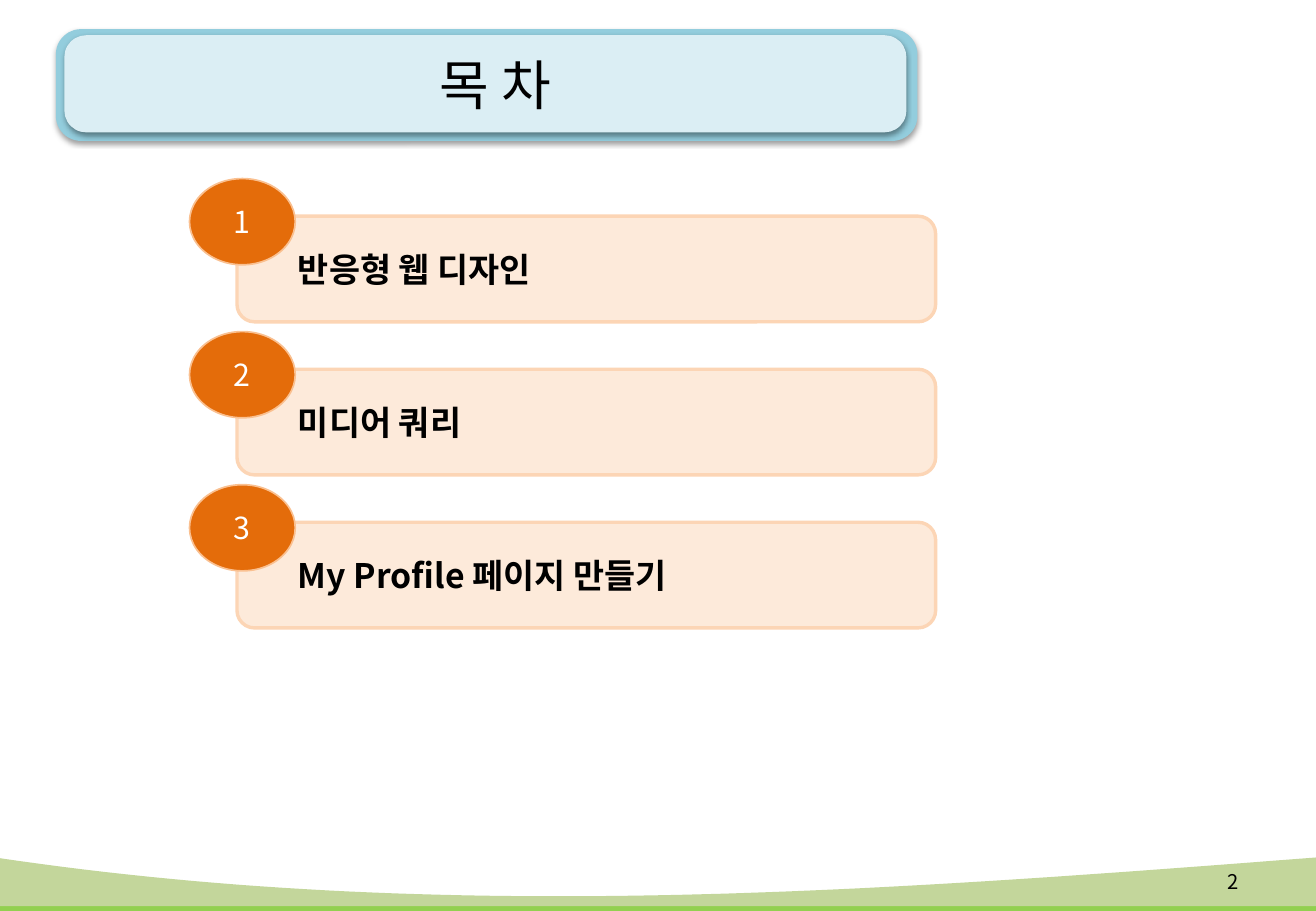
from lxml import etree
from pptx import Presentation
from pptx import util as u
from pptx.dml.color import RGBColor
from pptx.enum import shapes, text
from pptx.oxml import ns

TITLE = "목 차"
TOPICS = ["반응형 웹 디자인", "미디어 쿼리", "My Profile 페이지 만들기"]
PAGE_NUMBER = "2"
FONT = "Noto Sans CJK KR"
WIDTH, HEIGHT = 10.83, 7.5

# Cubic curve along the top of each wave, its bottom edge and its fill
WAVES = [
    ([(-0.04, 7.24), (3.64, 7.6), (7.19, 7.43), (WIDTH, 7.24)], HEIGHT, "92D050"),
    ([(-0.04, 7.06), (3.64, 7.61), (7.19, 7.34), (WIDTH, 7.06)], 7.46, "C3D69B"),
]
WAVE_STEPS = 60
TITLE_PLATES = [((0.46, 0.24, 7.09, 0.92), "93CDDD"),
                ((0.53, 0.29, 6.93, 0.8), "DBEEF4")]
TITLE_AREA = (0.69, 0.22, 6.78, 0.94)
NUMBER_AREA = (9.68, 7.06, 0.61, 0.4)
BAR_LEFT, BAR_TOP, BAR_WIDTH, BAR_HEIGHT = 1.95, 1.78, 5.75, 0.87
BADGE_WIDTH, BADGE_HEIGHT = 0.87, 0.71
BADGE_SHIFT_X, BADGE_SHIFT_Y = 0.39, 0.31
ROW_PITCH = 1.26
BAR_INDENT = 0.46


def color(value):
    return RGBColor.from_string(value)


def paint(shape, fill, line=None, line_width=1):
    shape.shadow.inherit = False
    shape.fill.solid()
    shape.fill.fore_color.rgb = color(fill)
    if line:
        shape.line.color.rgb = color(line)
        shape.line.width = u.Pt(line_width)
    else:
        shape.line.fill.background()


def add_preset(page, kind, area, fill, line=None, line_width=1):
    shape = page.shapes.add_shape(kind, *map(u.Inches, area))
    paint(shape, fill, line, line_width)
    return shape


def add_shadow(shape):
    """Put a soft dark shadow straight below the shape."""
    effects = shape.element.spPr.find(ns.qn("a:effectLst"))
    shadow = etree.SubElement(effects, ns.qn("a:outerShdw"), blurRad=str(u.Pt(3.1)),
                              dist=str(u.Pt(1.6)), dir="5400000", rotWithShape="0")
    tint = etree.SubElement(shadow, ns.qn("a:srgbClr"), val="000000")
    etree.SubElement(tint, ns.qn("a:alpha"), val="38000")


def write(shape, words, size, align, ink="000000", bold=False):
    frame = shape.text_frame
    settings = {"word_wrap": True, "auto_size": text.MSO_AUTO_SIZE.NONE,
                "vertical_anchor": text.MSO_ANCHOR.MIDDLE}
    for name, value in settings.items():
        setattr(frame, name, value)
    para = frame.paragraphs[0]
    para.alignment = align
    span = para.add_run()
    span.text = words
    for name, value in {"name": FONT, "size": u.Pt(size), "bold": bold}.items():
        setattr(span.font, name, value)
    span.font.color.rgb = color(ink)
    etree.SubElement(span._r.get_or_add_rPr(), ns.qn("a:ea"), typeface=FONT)


def curve_point(controls, t):
    weights = ((1 - t) ** 3, 3 * t * (1 - t) ** 2, 3 * t ** 2 * (1 - t), t ** 3)
    return tuple(u.Inches(sum(weight * point[axis] for weight, point in zip(weights, controls)))
                 for axis in (0, 1))


def add_wave(page, controls, bottom, fill):
    points = [curve_point(controls, step / WAVE_STEPS) for step in range(WAVE_STEPS + 1)]
    points += [(u.Inches(x), u.Inches(bottom)) for x in (controls[-1][0], controls[0][0])]
    outline = page.shapes.build_freeform(*points[0])
    outline.add_line_segments(points[1:], close=True)
    paint(outline.convert_to_shape(), fill)


def add_title(page):
    for area, fill in TITLE_PLATES:
        plate = add_preset(page, shapes.MSO_SHAPE.ROUNDED_RECTANGLE, area, fill)
        plate.adjustments[0] = 0.225
        add_shadow(plate)
    title = page.shapes.title
    for name, value in zip(("left", "top", "width", "height"), TITLE_AREA):
        setattr(title, name, u.Inches(value))
    write(title, TITLE, 32, text.PP_ALIGN.CENTER)
    title.element.getparent().append(title.element)  # in front of the plates


def add_topic(page, row, topic):
    top = BAR_TOP + row * ROW_PITCH
    bar = add_preset(page, shapes.MSO_SHAPE.ROUNDED_RECTANGLE,
                     (BAR_LEFT, top, BAR_WIDTH, BAR_HEIGHT), "FDEADA", "FCD5B5", 2)
    bar.text_frame.margin_left = u.Inches(BAR_INDENT)
    write(bar, topic, 20, text.PP_ALIGN.LEFT, bold=True)
    badge = add_preset(page, shapes.MSO_SHAPE.OVAL,
                       (BAR_LEFT - BADGE_SHIFT_X, top - BADGE_SHIFT_Y,
                        BADGE_WIDTH, BADGE_HEIGHT), "E46C0A", "FAC090")
    write(badge, str(row + 1), 18, text.PP_ALIGN.CENTER, "FFFFFF")


def main():
    deck = Presentation()
    deck.slide_width, deck.slide_height = u.Inches(WIDTH), u.Inches(HEIGHT)
    page = deck.slides.add_slide(deck.slide_layouts.get_by_name("Title Only"))
    for wave in WAVES:
        add_wave(page, *wave)
    add_title(page)
    number = page.shapes.add_textbox(*map(u.Inches, NUMBER_AREA))
    write(number, PAGE_NUMBER, 12, text.PP_ALIGN.RIGHT)
    for row, topic in enumerate(TOPICS):
        add_topic(page, row, topic)
    deck.save("out.pptx")


if __name__ == "__main__":
    main()
